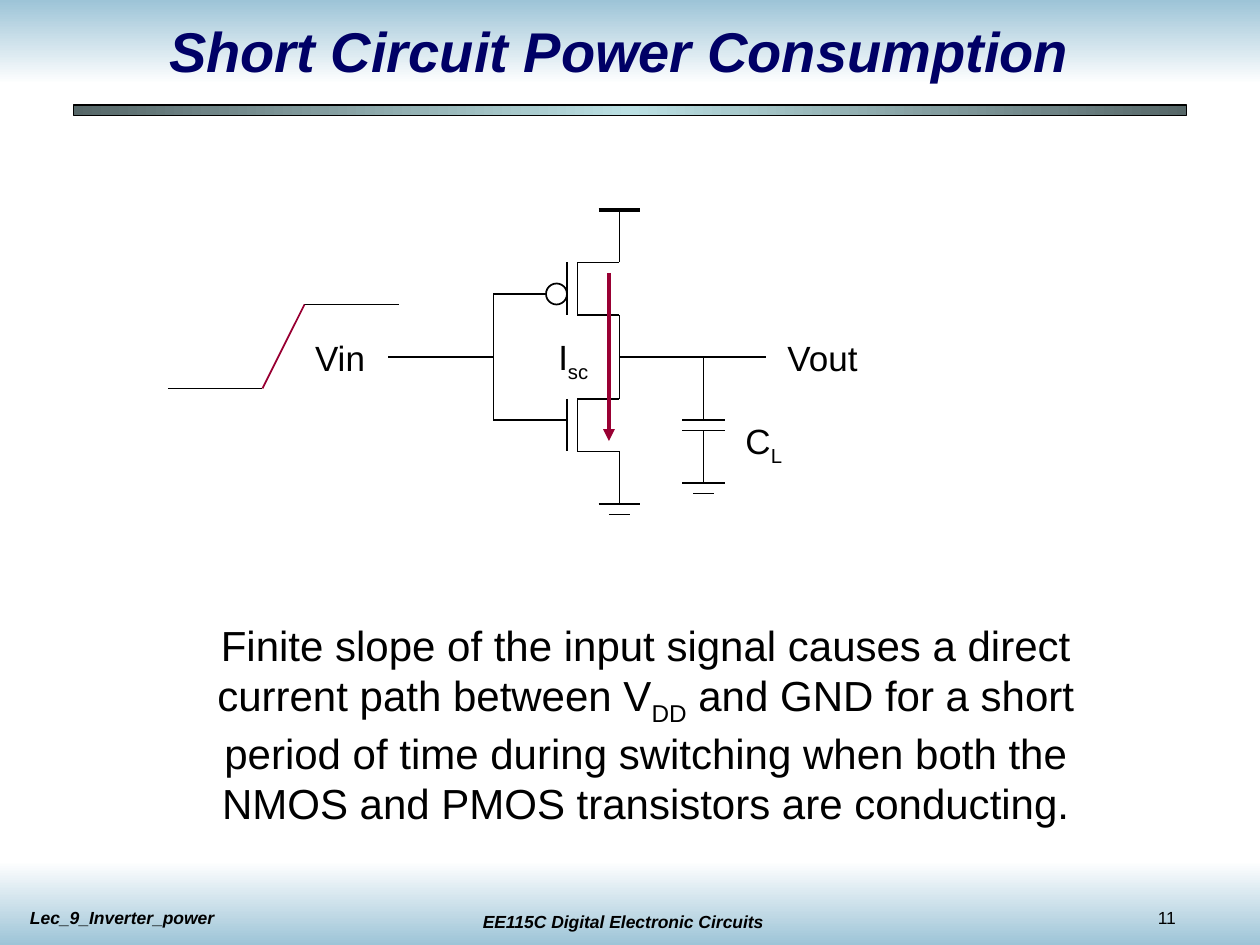
from copy import deepcopy
from dataclasses import dataclass

from lxml import etree
from pptx import Presentation
from pptx.dml.color import RGBColor
from pptx.enum.shapes import MSO_CONNECTOR, MSO_SHAPE
from pptx.enum.text import MSO_ANCHOR, MSO_AUTO_SIZE, PP_ALIGN
from pptx.oxml.ns import qn
from pptx.util import Pt

STRAIGHT = MSO_CONNECTOR.STRAIGHT
RECT, OVAL = MSO_SHAPE.RECTANGLE, MSO_SHAPE.OVAL
LEFT, CENTER = PP_ALIGN.LEFT, PP_ALIGN.CENTER
TOP, MIDDLE = MSO_ANCHOR.TOP, MSO_ANCHOR.MIDDLE
FIT, FIXED = MSO_AUTO_SIZE.SHAPE_TO_FIT_TEXT, MSO_AUTO_SIZE.NONE
BLANK = 6
GRID = 6  # points per step of the circuit drawing
PAD = (7.2, 3.6, 7.2, 3.6)
DOWN = 270


@dataclass(frozen=True)
class Theme:
    font: str = "Arial"
    ink: str = "000000"
    navy: str = "000066"
    red: str = "990033"
    sky: str = "9DC4D7"
    white: str = "FFFFFF"
    slate: str = "566768"
    ice: str = "BBE0E3"
    title: int = 32
    body: int = 24
    label: int = 20
    foot: int = 10
    thin: float = 1
    thick: float = 2.25


THEME = Theme()


def rgb(code):
    return RGBColor.from_string(code)


def apply(target, values):
    for name, value in values.items():
        setattr(target, name, value)


def add_band(slide, box, colors, angle, edge=None):
    """Rectangle with evenly spaced gradient colours."""
    band = slide.shapes.add_shape(RECT, *map(Pt, box))
    band.shadow.inherit = False
    band.fill.gradient()
    band.fill.gradient_angle = angle
    stops = band._element.spPr.find(qn("a:gradFill")).find(qn("a:gsLst"))
    for _ in colors[2:]:
        stops.insert(1, deepcopy(stops[0]))
    for i, (stop, code) in enumerate(zip(band.fill.gradient_stops, colors)):
        stop.color.rgb = rgb(code)
        stop.position = i / (len(colors) - 1)
    if edge:
        band.line.color.rgb = rgb(THEME.ink)
        band.line.width = Pt(edge)
    else:
        band.line.fill.background()


def add_text(slide, box, parts, size, color=THEME.ink, bold=False,
             align=LEFT, pad=(0, 0, 0, 0), wrap=True, anchor=TOP,
             fit=FIT, before=0):
    """Text box whose every second part is a subscript."""
    frame = slide.shapes.add_textbox(*map(Pt, box)).text_frame
    sides = ("margin_left", "margin_top", "margin_right", "margin_bottom")
    apply(frame, dict(zip(sides, map(Pt, pad))))
    apply(frame, {"word_wrap": wrap, "auto_size": fit,
                  "vertical_anchor": anchor})
    para = frame.paragraphs[0]
    apply(para, {"alignment": align, "space_before": Pt(before)})
    for i, part in enumerate(parts):
        run = para.add_run()
        run.text = part
        apply(run.font, {"name": THEME.font, "size": Pt(size),
                         "bold": bold, "italic": bold})
        run.font.color.rgb = rgb(color)
        if i % 2:
            run._r.get_or_add_rPr().set("baseline", "-25000")


def add_wire(slide, x1, y1, x2, y2, color=THEME.ink, width=THEME.thin,
             arrow=False):
    """Straight line between two grid points."""
    ends = (Pt(n * GRID) for n in (x1, y1, x2, y2))
    wire = slide.shapes.add_connector(STRAIGHT, *ends)
    wire.line.color.rgb = rgb(color)
    wire.line.width = Pt(width)
    if arrow:
        tail = etree.SubElement(wire.line._get_or_add_ln(), qn("a:tailEnd"))
        tail.set("type", "triangle")
    etree.SubElement(wire._element.spPr, qn("a:effectLst"))


def add_gate(slide, top):
    """Transistor: gate plate, channel, drain and source stubs."""
    low = top + 5
    for x in (54, 55):
        add_wire(slide, x, top, x, low)
    for y in (top, low):
        add_wire(slide, 55, y, 59, y)


def add_ground(slide, x, y):
    for half in (2, 1):
        add_wire(slide, x - half, y, x + half, y)
        y += 1


def add_bubble(slide, x, y):
    box = (Pt(n * GRID) for n in (x, y, 2, 2))
    ring = slide.shapes.add_shape(OVAL, *box)
    ring.shadow.inherit = False
    ring.fill.background()
    ring.line.color.rgb = rgb(THEME.ink)
    ring.line.width = Pt(THEME.thin)


def add_frame(slide):
    """Bands, footer texts and the bar below the title."""
    add_band(slide, (0, 0, 720, 48), (THEME.sky, THEME.white), DOWN)
    add_band(slide, (0, 492, 720, 48), (THEME.white, THEME.sky), DOWN)
    foot = {"size": THEME.foot, "pad": PAD}
    add_text(slide, (254, 517, 204, 19.4),
             ["EE115C Digital Electronic Circuits"],
             bold=True, align=CENTER, before=6.2, **foot)
    add_text(slide, (654.5, 515, 60, 19.4), ["11"], wrap=False, **foot)
    add_text(slide, (10, 515, 204, 19.4), ["Lec_9_Inverter_power"],
             bold=True, before=6.2, **foot)
    add_band(slide, (42, 60, 636, 6),
             (THEME.slate, THEME.ice, THEME.slate), 0, edge=0.75)


def add_circuit(slide):
    for top in (25, 38):
        add_gate(slide, top)
    add_bubble(slide, 52, 27)
    wires = (
        (47, 28, 52, 28), (47, 40, 54, 40), (47, 28, 47, 40),  # input fork
        (37, 34, 47, 34), (59, 34, 73, 34),  # input and output
        (59, 20, 59, 25), (59, 30, 59, 38), (59, 43, 59, 48),  # supply path
        (67, 34, 67, 40), (67, 41, 67, 46),  # load leads
        (65, 40, 69, 40), (65, 41, 69, 41),  # load plates
        (16, 37, 25, 37), (29, 29, 38, 29),  # input levels
    )
    for ends in wires:
        add_wire(slide, *ends)
    for x, y in ((59, 48), (67, 46)):
        add_ground(slide, x, y)
    add_wire(slide, 25, 37, 29, 29, THEME.red)
    labels = (
        ((180, 192, 29, 24), ["Vin"]),
        ((450, 192, 41, 24), ["Vout"]),
        ((426, 240, 21, 27.5), ["C", "L"]),
        ((319, 192, 17.5, 27.5), ["I", "sc"]),
    )
    for box, parts in labels:
        add_text(slide, box, parts, THEME.label, wrap=False)
    add_wire(slide, 58, 26, 58, 42, THEME.red, THEME.thick, arrow=True)
    add_wire(slide, 57, 20, 61, 20, width=THEME.thick)


def main():
    deck = Presentation()
    apply(deck, {"slide_width": Pt(720), "slide_height": Pt(540)})
    slide = deck.slides.add_slide(deck.slide_layouts[BLANK])
    add_frame(slide)
    add_text(slide, (30, 12, 648, 33), ["Short Circuit Power Consumption"],
             THEME.title, THEME.navy, bold=True, align=CENTER, pad=PAD,
             anchor=MIDDLE, fit=FIXED)
    add_text(slide, (90, 354, 558, 119.5),
             ["Finite slope of the input signal causes a direct current "
              "path between V", "DD",
              " and GND for a short period of time during switching when "
              "both the NMOS and PMOS transistors are conducting."],
             THEME.body, align=CENTER)
    add_circuit(slide)
    deck.save("out.pptx")


if __name__ == "__main__":
    main()
